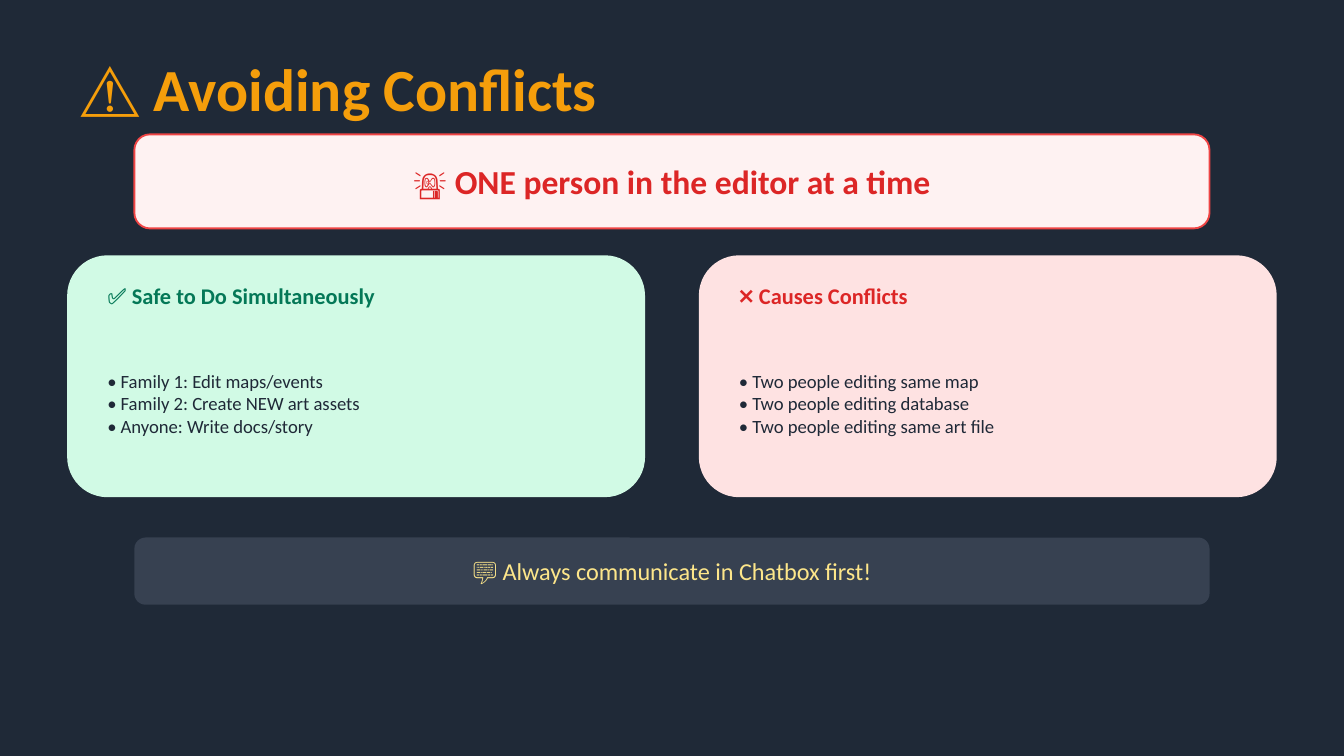
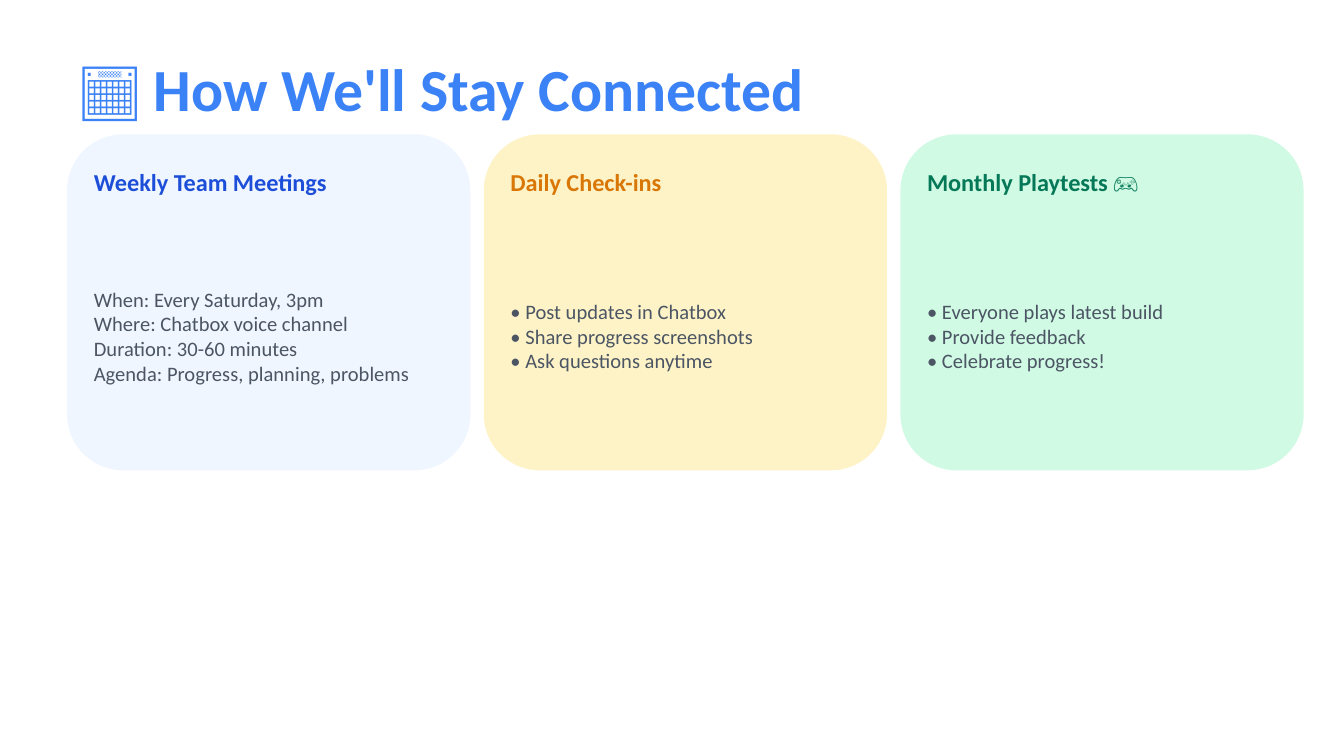
from pptx import Presentation
from pptx import util as u
from pptx.dml.color import RGBColor
from pptx.enum import shapes, text

FONT = "Calibri"
NAVY = RGBColor(0x1F, 0x29, 0x37)
SLATE = RGBColor(0x37, 0x41, 0x51)
GRAY = RGBColor(0x4B, 0x55, 0x63)
WHITE = RGBColor(0xFF, 0xFF, 0xFF)
AMBER = RGBColor(0xF5, 0x9E, 0x0B)
DARK_AMBER = RGBColor(0xD9, 0x77, 0x06)
PALE_AMBER = RGBColor(0xFE, 0xF3, 0xC7)
YELLOW = RGBColor(0xFD, 0xE6, 0x8A)
RED = RGBColor(0xEF, 0x44, 0x44)
DARK_RED = RGBColor(0xDC, 0x26, 0x26)
PALE_RED = RGBColor(0xFE, 0xE2, 0xE2)
FAINT_RED = RGBColor(0xFE, 0xF2, 0xF2)
GREEN = RGBColor(0x04, 0x78, 0x57)
PALE_GREEN = RGBColor(0xD1, 0xFA, 0xE5)
BLUE = RGBColor(0x3B, 0x82, 0xF6)
DARK_BLUE = RGBColor(0x1D, 0x4E, 0xD8)
PALE_BLUE = RGBColor(0xEF, 0xF6, 0xFF)

SLIDE_WIDTH = u.Inches(10)
SLIDE_HEIGHT = SLIDE_WIDTH * 9 // 16
COLUMNS = 100
CELL = SLIDE_WIDTH // COLUMNS
LEFT_MARGIN = 5
LEFT, CENTER = text.PP_ALIGN.LEFT, text.PP_ALIGN.CENTER


def cells(*counts):
    return [u.Emu(count * CELL) for count in counts]


def set_attributes(target, values):
    for name, value in values.items():
        setattr(target, name, value)


def write(shape, lines, size, color, bold=False, align=LEFT):
    frame = shape.text_frame
    set_attributes(frame, {
        "word_wrap": True,
        "auto_size": text.MSO_AUTO_SIZE.NONE,
        "vertical_anchor": text.MSO_ANCHOR.MIDDLE,
    })
    frame.text = "\n".join(lines)
    for paragraph in frame.paragraphs:
        paragraph.alignment = align
        for run in paragraph.runs:
            set_attributes(run.font, {"name": FONT, "size": u.Pt(size), "bold": bold})
            run.font.color.rgb = color


def add_titled_slide(presentation, title, color, background):
    slide = presentation.slides.add_slide(presentation.slide_layouts[5])
    slide.background.fill.solid()
    slide.background.fill.fore_color.rgb = background
    left, top, width, height = cells(LEFT_MARGIN, 3, 90, 7)
    set_attributes(slide.shapes.title, {"left": left, "top": top, "width": width, "height": height})
    write(slide.shapes.title, [title], 32, color, bold=True)
    return slide


def add_panel(slide, area, fill, outline=None):
    panel = slide.shapes.add_shape(shapes.MSO_SHAPE.ROUNDED_RECTANGLE, *cells(*area))
    panel.shadow.inherit = False
    panel.fill.solid()
    panel.fill.fore_color.rgb = fill
    if outline is None:
        panel.line.fill.background()
    else:
        panel.line.color.rgb = outline
        panel.line.width = u.Pt(1)
    return panel


def add_text(slide, area, lines, **style):
    write(slide.shapes.add_textbox(*cells(*area)), lines, **style)


def add_cards(slide, cards, row, width, height, gap, inset, text_width, head_height, head_size, body_size, body_color):
    for index, (heading, color, fill, lines) in enumerate(cards):
        column = LEFT_MARGIN + index * (width + gap)
        add_panel(slide, (column, row, width, height), fill)
        add_text(slide, (column + inset, row + 1, text_width, head_height),
                 [heading], size=head_size, color=color, bold=True)
        add_text(slide, (column + inset, row + 1 + head_height, text_width, height - head_height - 2),
                 lines, size=body_size, color=body_color)


def build_conflicts(presentation):
    slide = add_titled_slide(presentation, "⚠️ Avoiding Conflicts", AMBER, NAVY)
    warning_area = (10, 10, 80, 7)
    add_panel(slide, warning_area, FAINT_RED, RED)
    add_text(slide, warning_area, ["🚨 ONE person in the editor at a time"],
             size=18, color=DARK_RED, bold=True, align=CENTER)
    cards = [
        ("✅ Safe to Do Simultaneously", GREEN, PALE_GREEN,
         ["• Family 1: Edit maps/events", "• Family 2: Create NEW art assets", "• Anyone: Write docs/story"]),
        ("❌ Causes Conflicts", DARK_RED, PALE_RED,
         ["• Two people editing same map", "• Two people editing database", "• Two people editing same art file"]),
    ]
    add_cards(slide, cards, row=19, width=43, height=18, gap=4, inset=2, text_width=40,
              head_height=4, head_size=12, body_size=10, body_color=NAVY)
    reminder = add_panel(slide, (10, 40, 80, 5), SLATE)
    write(reminder, ["💬 Always communicate in Chatbox first!"], 13, YELLOW, align=CENTER)


def build_connections(presentation):
    slide = add_titled_slide(presentation, "📅 How We'll Stay Connected", BLUE, WHITE)
    cards = [
        ("Weekly Team Meetings", DARK_BLUE, PALE_BLUE,
         ["When: Every Saturday, 3pm", "Where: Chatbox voice channel", "Duration: 30-60 minutes",
          "Agenda: Progress, planning, problems"]),
        ("Daily Check-ins", DARK_AMBER, PALE_AMBER,
         ["• Post updates in Chatbox", "• Share progress screenshots", "• Ask questions anytime"]),
        ("Monthly Playtests 🎮", GREEN, PALE_GREEN,
         ["• Everyone plays latest build", "• Provide feedback", "• Celebrate progress!"]),
    ]
    add_cards(slide, cards, row=10, width=30, height=25, gap=1, inset=1, text_width=28,
              head_height=5, head_size=13, body_size=11, body_color=GRAY)


def main():
    presentation = Presentation()
    set_attributes(presentation, {"slide_width": SLIDE_WIDTH, "slide_height": SLIDE_HEIGHT})
    build_conflicts(presentation)
    build_connections(presentation)
    presentation.save("out.pptx")


if __name__ == "__main__":
    main()
